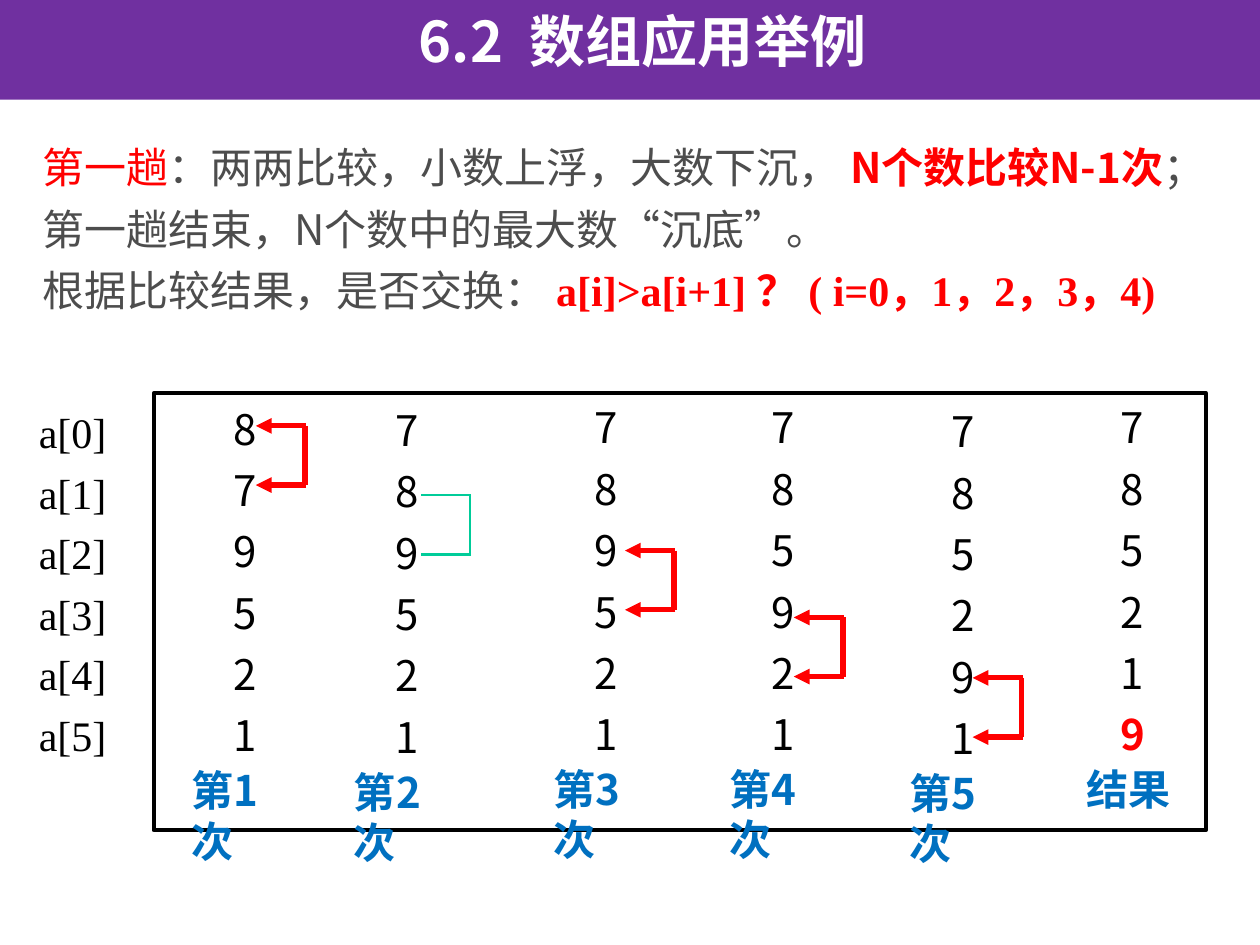
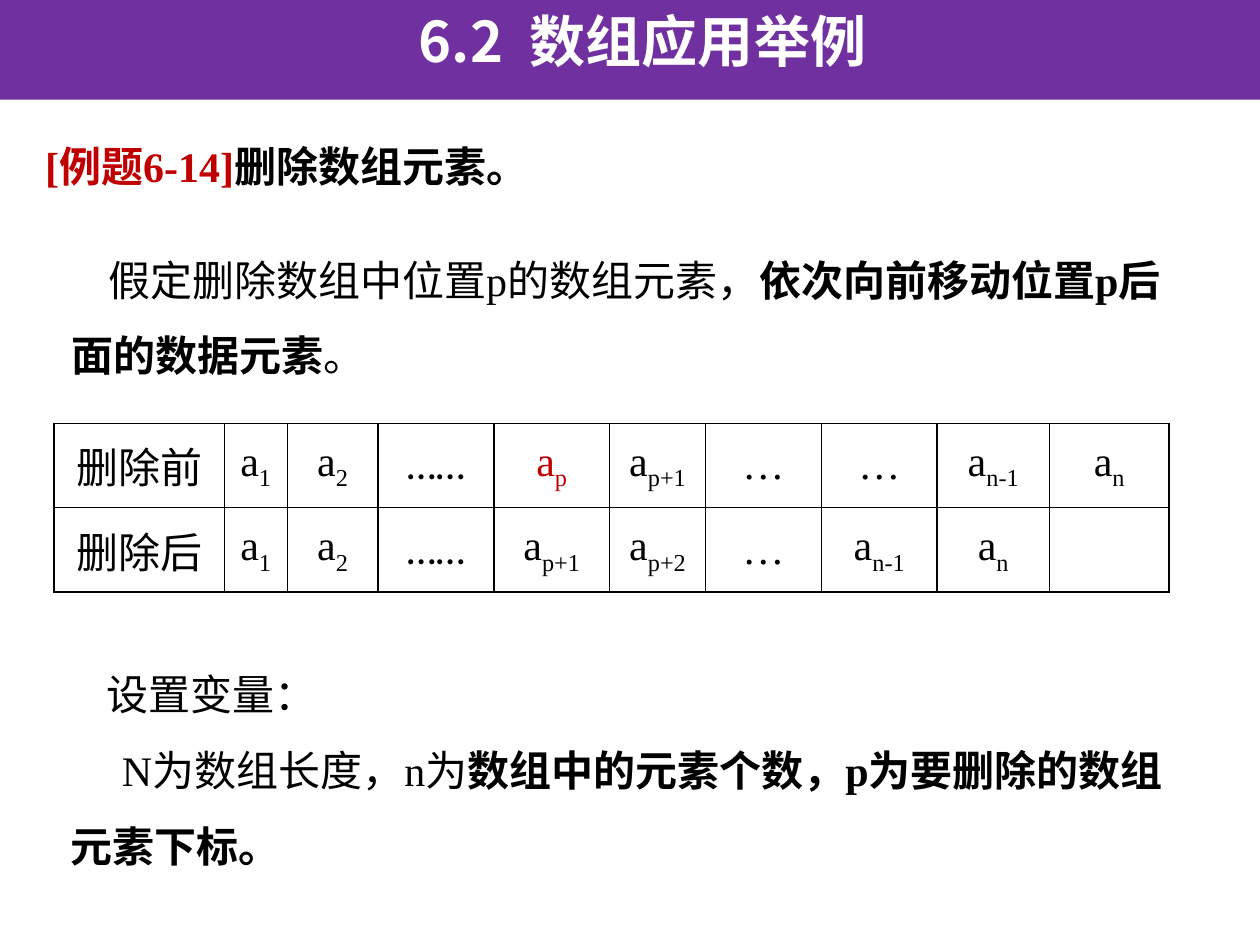
from pptx import Presentation
from pptx.dml.color import RGBColor
from pptx.enum.shapes import MSO_CONNECTOR, MSO_SHAPE
from pptx.enum.text import MSO_ANCHOR, MSO_AUTO_SIZE, PP_ALIGN
from pptx.oxml.ns import qn
from pptx.util import Inches, Pt
from lxml import etree

BLACK = RGBColor(0x00, 0x00, 0x00)
WHITE = RGBColor(0xFF, 0xFF, 0xFF)
GREY = RGBColor(0x4D, 0x4D, 0x4D)
RED = RGBColor(0xFF, 0x00, 0x00)
DARK_RED = RGBColor(0xC0, 0x00, 0x00)
BLUE = RGBColor(0x00, 0x70, 0xC0)
GREEN = RGBColor(0x00, 0xCC, 0x99)
PURPLE = RGBColor(0x70, 0x30, 0xA0)

SANS, SERIF, LATIN = "Noto Sans CJK SC", "Times New Roman", "Calibri"
RECT, STRAIGHT = MSO_SHAPE.RECTANGLE, MSO_CONNECTOR.STRAIGHT
TOP, MIDDLE = MSO_ANCHOR.TOP, MSO_ANCHOR.MIDDLE
CENTER, LEFT = PP_ALIGN.CENTER, PP_ALIGN.LEFT
NO_FIT = MSO_AUTO_SIZE.NONE

COLS, ROWS = 100, 75  # the grid laid over the slide


class Deck:
    """Style of the deck and the slide being built."""

    def __init__(self):
        self.prs = Presentation()
        self.prs.slide_width, self.prs.slide_height = Inches(10), Inches(7.5)
        self.shapes = None

    def x(self, cols):
        return round(self.prs.slide_width * cols / COLS)

    def y(self, rows):
        return round(self.prs.slide_height * rows / ROWS)

    def box(self, left, top, width, height):
        return self.x(left), self.y(top), self.x(width), self.y(height)

    def run(self, p, text, font=SERIF, color=BLACK, bold=False, size=24, base=0, spc=0):
        r = p.add_run()
        r.text = text
        r.font.name, r.font.size, r.font.bold = font, Pt(size), bold
        r.font.color.rgb = color
        rPr = r.font._element
        rPr.set("lang", "zh-CN")
        if base:
            rPr.set("baseline", str(base * 1000))
        if spc:
            rPr.set("spc", str(spc * 100))
        ea = etree.Element(qn("a:ea"), typeface=SANS)
        rPr.find(qn("a:latin")).addnext(ea)

    def fill_text(self, tf, paragraphs, spacing=None, left=0, indents=(), align=LEFT):
        """Each paragraph is a list of (text, style) runs; left and indents are in columns."""
        for i, runs in enumerate(paragraphs):
            p = tf.paragraphs[0] if i == 0 else tf.add_paragraph()
            p.alignment = align
            if spacing:
                p.line_spacing = spacing
            pPr = p._p.get_or_add_pPr()
            pPr.set("marL", str(self.x(left)))
            pPr.set("indent", str(self.x(indents[i]) if indents else 0))
            for text, style in runs:
                self.run(p, text, **style)

    def slide(self, title_runs):
        s = self.prs.slides.add_slide(self.prs.slide_layouts[5])
        self.shapes = s.shapes
        sp = s.shapes.title
        sp.left, sp.top, sp.width, sp.height = self.box(0, 0, COLS, 7.9)
        sp.fill.solid()
        sp.fill.fore_color.rgb = PURPLE
        tf = sp.text_frame
        tf.auto_size, tf.vertical_anchor = NO_FIT, TOP
        self.fill_text(tf, [title_runs], left=2, align=CENTER)

    def text(self, box, paragraphs, wrap=True, inset=True, **layout):
        tf = self.shapes.add_textbox(*self.box(*box)).text_frame
        tf.word_wrap = wrap
        if not inset:
            tf.margin_left = tf.margin_right = tf.margin_top = tf.margin_bottom = 0
        self.fill_text(tf, paragraphs, **layout)

    def frame(self, box, width):
        sp = self.shapes.add_shape(RECT, *self.box(*box))
        sp.shadow.inherit = False
        sp.fill.background()
        sp.line.color.rgb, sp.line.width = BLACK, Pt(width)

    def line(self, start, end, color, width, arrow=False):
        c = self.shapes.add_connector(STRAIGHT, self.x(start[0]), self.y(start[1]),
                                      self.x(end[0]), self.y(end[1]))
        c.line.color.rgb, c.line.width = color, Pt(width)
        if arrow:
            etree.SubElement(c.line._get_or_add_ln(), qn("a:tailEnd"), type="triangle")
        etree.SubElement(c._element.spPr, qn("a:effectLst"))

    def bracket(self, left, top, color, width, arrow):
        right, bottom = left + 4, top + 4.7
        for row in (top, bottom):
            self.line((right, row), (left, row), color, width, arrow)
        self.line((right - 0.1, top), (right - 0.1, bottom), color, width)

    def table(self, box, widths, rows):
        table = self.shapes.add_table(len(rows), len(widths), *self.box(*box)).table
        table.first_row = table.horz_banding = False
        for column, width in zip(table.columns, widths):
            column.width = self.x(width)
        for r, row in enumerate(rows):
            for c, runs in enumerate(row):
                self.cell(table.cell(r, c), runs)

    def cell(self, cell, runs):
        cell.margin_left = cell.margin_right = self.x(0.7)
        cell.margin_top = cell.margin_bottom = 0
        cell.vertical_anchor = MIDDLE
        self.fill_text(cell.text_frame, [runs], align=CENTER)
        tcPr = cell._tc.get_or_add_tcPr()
        for side in ("lnL", "lnR", "lnT", "lnB"):
            ln = etree.SubElement(tcPr, qn(f"a:{side}"), w=str(Pt(1)))
            fill = etree.SubElement(ln, qn("a:solidFill"))
            etree.SubElement(fill, qn("a:srgbClr"), val=str(BLACK))
        cell.fill.background()


TITLE = dict(font=SANS, color=WHITE, bold=True, size=32)
SECTION_TITLE = [("6.2", TITLE), (" ", dict(TITLE, spc=8)), ("数组应用举例", TITLE)]
PLAIN = {}
BOLD = dict(bold=True)


def bubble_slide(deck):
    deck.slide(SECTION_TITLE)

    # Rule of the first pass
    body = dict(font=SANS, color=GREY)
    key = dict(font=SANS, color=RED, bold=True)
    deck.text((0.4, 9.9, 97.6, 16.5), [
        [("第一趟", dict(font=SANS, color=RED)),
         ("：两两比较，小数上浮，大数下沉， ", body),
         ("N个数比较N-1次", key),
         ("；第一趟结束，N个数中的最大数“沉底”。", body)],
        [("根据比较结果，是否交换：", dict(color=GREY)),
         (" a[i]>a[i+1] ？ ( i=0，1，2，3，4)", dict(color=RED, bold=True))],
    ], spacing=Pt(35), left=2)

    deck.frame((12.2, 31.2, 83.5, 34.7), 2.25)

    # One column per comparison: digit left, top, bracket left, bracket top
    columns = [(18.5, 32, 20.3, 33.8), (31.4, 32.1, 33.4, 39.3),
               (47.2, 31.9, 49.6, 43.7), (61.2, 31.9, 63, 49),
               (75.5, 32.2, 77.2, 53.8), (88.9, 31.9, None, None)]
    values = [8, 7, 9, 5, 2, 1]
    pitch = 4.87
    label_style = dict(font=SANS, color=BLUE, bold=True)
    slide_shapes = deck.shapes
    for i, (left, top, bracket_left, bracket_top) in enumerate(columns):
        done = bracket_left is None
        deck.shapes = slide_shapes.add_group_shape().shapes
        for row, value in enumerate(values):
            style = key if done and row == i else dict(font=SANS)
            deck.text((left, top + row * pitch, 1.7, 4), [[(str(value), style)]],
                      wrap=False, inset=False)
        label, offset, width = ("结果", 2.7, 6.7) if done else (f"第{i + 1}次", 3.3, 8.4)
        deck.text((left - offset, top + 28.7, width, 4), [[(label, label_style)]],
                  wrap=not done, inset=False)
        if not done:
            swap = values[i] > values[i + 1]
            color, weight = (RED, 3) if swap else (GREEN, 1.5)
            deck.bracket(bracket_left, bracket_top, color, weight, swap)
            if swap:
                values[i], values[i + 1] = values[i + 1], values[i]
    deck.shapes = slide_shapes

    # Index labels
    deck.text((2.1, 31, 8.7, 33.6), [[(f"a[{i}]", PLAIN)] for i in range(6)], spacing=1.2)


def element(index, color=BLACK):
    return [("a", dict(color=color)), (index, dict(color=color, base=-25))]


def delete_slide(deck):
    deck.slide(SECTION_TITLE)

    # Task
    deck.text((2.6, 10.7, 64.6, 5), [
        [("[例题6-14]", dict(color=DARK_RED, bold=True)), ("删除数组元素。", BOLD)]])
    deck.text((2.7, 17.7, 91.2, 13.4), [
        [("假定删除数组中位置p的数组元素，", PLAIN),
         ("依次向前移动位置p后面的数据元素", BOLD), ("。", PLAIN)],
    ], spacing=1.5, left=2, indents=[2.9])

    # Array before and after the deletion
    dots, long_dots = [("…", PLAIN)], [("……", dict(font=LATIN))]
    start = [element("1"), element("2"), long_dots]
    before = [[("删除前", PLAIN)], *start, element("p", DARK_RED), element("p+1"),
              dots, dots, element("n-1"), element("n")]
    after = [[("删除后", PLAIN)], *start, element("p+1"), element("p+2"),
             dots, element("n-1"), element("n"), []]
    widths = [13.5, 5, 7.2, 9.2, 9.2, 7.6, 9.2, 9.2, 8.9, 9.5]
    deck.table((4.3, 33.6, sum(widths), 13.4), widths, [before, after])

    # Variables
    deck.text((2.6, 50.6, 91.2, 18.9), [
        [("设置变量：", PLAIN)],
        [("N为数组长度，n为", PLAIN),
         ("数组中的元素个数，p为要删除的数组元素下标。", BOLD)],
    ], spacing=1.5, left=2, indents=[2.9, 4.1])


def main():
    deck = Deck()
    bubble_slide(deck)
    delete_slide(deck)
    deck.prs.save("out.pptx")


if __name__ == "__main__":
    main()
